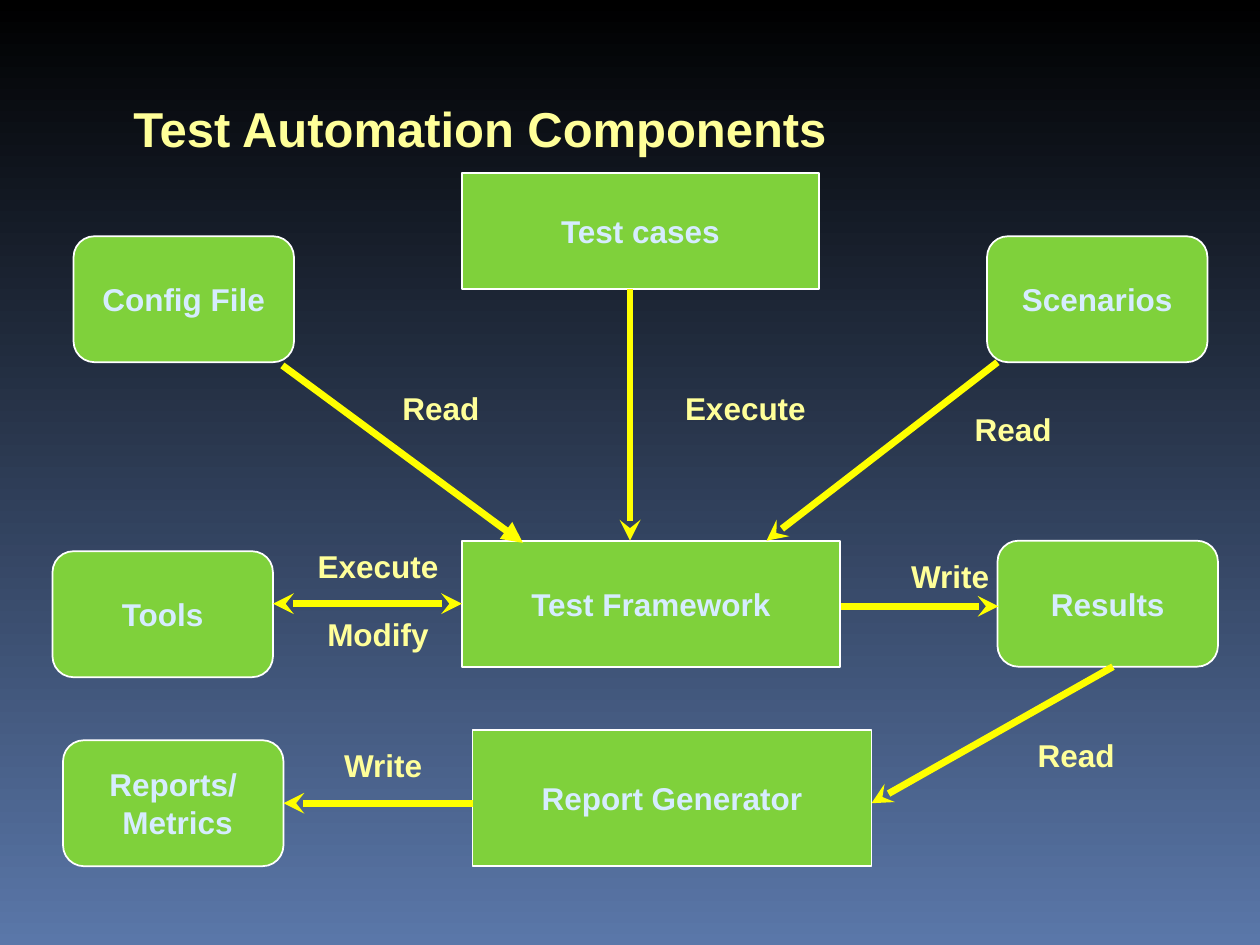
from lxml import etree
from pptx import Presentation
from pptx.dml.color import RGBColor
from pptx.enum.shapes import MSO_CONNECTOR, MSO_SHAPE
from pptx.enum.text import MSO_ANCHOR, MSO_AUTO_SIZE, PP_ALIGN
from pptx.oxml.ns import qn
from pptx.util import Inches, Pt

RECT, ROUND = MSO_SHAPE.RECTANGLE, MSO_SHAPE.ROUNDED_RECTANGLE
STRAIGHT = MSO_CONNECTOR.STRAIGHT
LEFT, CENTER = PP_ALIGN.LEFT, PP_ALIGN.CENTER
TOP, MIDDLE, BOTTOM = MSO_ANCHOR.TOP, MSO_ANCHOR.MIDDLE, MSO_ANCHOR.BOTTOM

BLACK = RGBColor(0x00, 0x00, 0x00)
BLUE = RGBColor(0x5A, 0x77, 0xA9)
GREEN = RGBColor(0x7F, 0xD1, 0x3B)
WHITE = RGBColor(0xFF, 0xFF, 0xFF)
PALE_BLUE = RGBColor(0xD6, 0xEC, 0xFF)
YELLOW = RGBColor(0xFF, 0xFF, 0x00)
PALE_YELLOW = RGBColor(0xFF, 0xFF, 0x99)

# All positions count columns and rows of a grid with 12 cells to the inch
CELL = Inches(1) / 12
TITLE = ("Test Automation Components", 11.5, 6.6, 79, 9)

# Files and outputs: text, column, row (all of one size)
FILE_SIZE = (21, 12)
FILES = [
    ("Config File", 7, 22.5),
    ("Scenarios", 94, 22.5),
    ("Tools", 5, 52.5),
    ("Results", 95, 51.5),
    ("Reports/\n Metrics", 6, 70.5),
]
# Programs: text, column, row, columns wide, rows high
PROGRAMS = [
    ("Test Framework", 44, 51.5, 36, 12),
    ("Test cases", 44, 16.5, 34, 11),
    ("Report Generator", 45, 69.5, 38, 13),
]
# Arrows: start, end, head at start, head at end
ARROWS = [
    ((26.9, 34.8), (49.8, 51.7), None, "triangle"),   # config file
    ((95, 34.5), (73, 51.5), None, "stealth"),        # scenarios
    ((60, 27.5), (60, 51.5), None, "stealth"),        # test cases
    ((80.1, 57.75), (95.1, 57.75), None, "stealth"),  # results
    ((26, 57.5), (44, 57.5), "stealth", "stealth"),   # tools
    ((45, 76.5), (27, 76.5), None, "stealth"),        # reports
    ((106, 63.5), (83, 76.5), None, "stealth"),       # report generator
]
# Arrow labels: text, column, row, columns wide
LABEL_HEIGHT = 4.8
LABELS = [
    ("Execute", 59, 36.5, 24),
    ("Read", 33, 36.5, 18),
    ("Read", 94, 69.5, 17),
    ("Execute", 28, 51.5, 16),
    ("Modify", 28, 58, 16),
    ("Write", 82, 52.5, 17),
    ("Read", 88, 38.5, 17),
    ("Write", 28, 70.5, 17),
]


def cells(*counts):
    return [round(n * CELL) for n in counts]


def write(s, text, color, size=18, align=CENTER, anchor=MIDDLE, wrap=True):
    tf = s.text_frame
    tf.text = text
    tf.auto_size = MSO_AUTO_SIZE.NONE
    tf.word_wrap = wrap
    tf.vertical_anchor = anchor
    for p in tf.paragraphs:
        p.alignment = align
        for r in p.runs:
            r.font.name = "Arial"
            r.font.size = Pt(size)
            r.font.bold = True
            r.font.color.rgb = color


def add_box(slide, kind, text, *place):
    s = slide.shapes.add_shape(kind, *cells(*place))
    s.shadow.inherit = False
    s.fill.solid()
    s.fill.fore_color.rgb = GREEN
    s.line.color.rgb = WHITE
    s.line.width = Pt(1)
    write(s, text, PALE_BLUE, wrap=False)


def add_arrow(slide, start, end, head, tail):
    s = slide.shapes.add_connector(STRAIGHT, *cells(*start, *end))
    s.line.color.rgb = YELLOW
    s.line.width = Pt(4)
    ln = s.line._get_or_add_ln()
    for tag, kind in (("a:headEnd", head), ("a:tailEnd", tail)):
        if kind:
            etree.SubElement(ln, qn(tag), type=kind)
    etree.SubElement(s._element.spPr, qn("a:effectLst"))


def main():
    prs = Presentation()
    prs.slide_width, prs.slide_height = Inches(10), Inches(7.5)
    slide = prs.slides.add_slide(prs.slide_layouts[5])

    # Background, dark at the top
    fill = slide.background.fill
    fill.gradient()
    fill.gradient_angle = 270
    for stop, color in zip(fill.gradient_stops, (BLACK, BLUE)):
        stop.color.rgb = color

    # Title
    text, *place = TITLE
    s = slide.shapes.title
    s.left, s.top, s.width, s.height = cells(*place)
    write(s, text, PALE_YELLOW, size=28, align=LEFT, anchor=BOTTOM)

    # Boxes
    for text, col, row in FILES:
        add_box(slide, ROUND, text, col, row, *FILE_SIZE)
    for program in PROGRAMS:
        add_box(slide, RECT, *program)

    # Arrows and their labels
    for arrow in ARROWS:
        add_arrow(slide, *arrow)
    for text, *place in LABELS:
        s = slide.shapes.add_textbox(*cells(*place, LABEL_HEIGHT))
        write(s, text, PALE_YELLOW, anchor=TOP)

    prs.save("out.pptx")


if __name__ == "__main__":
    main()
